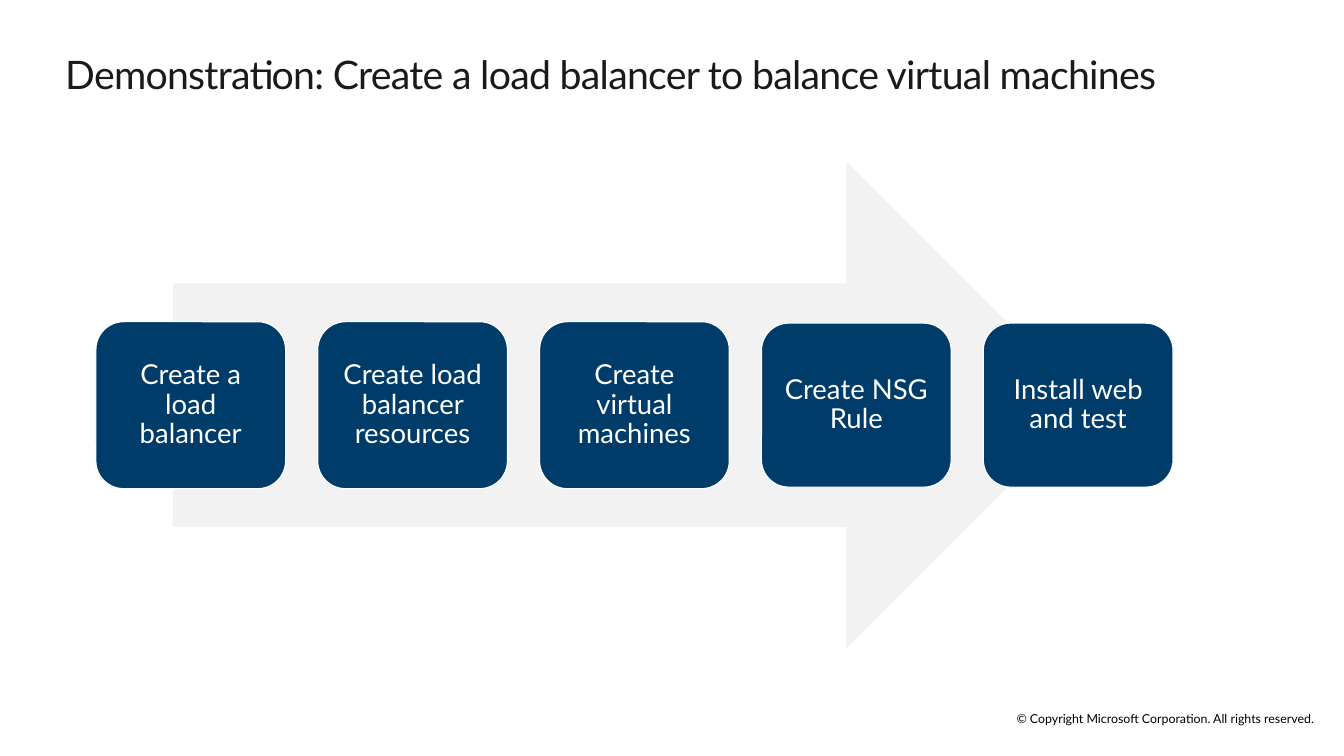
from dataclasses import dataclass

from pptx import Presentation
from pptx.dml.color import RGBColor
from pptx.enum.shapes import MSO_SHAPE
from pptx.enum.text import MSO_ANCHOR, PP_ALIGN
from pptx.shapes.autoshape import Shape
from pptx.slide import Slide
from pptx.util import Inches, Pt

FONT = "Lato"
COLORS = {
    "title": "1A1A1A",
    "arrow": "F2F2F2",
    "step": "003C6A",
    "white": "FFFFFF",
    "black": "000000",
}
LEFT, PITCH, WIDTH = 0.97, 2.245, 1.92
MIDDLE = 4.1


@dataclass
class Step:
    text: str
    height: float


@dataclass
class Label:
    text: str
    box: tuple[float, float, float, float]
    size: float
    color: str
    align: PP_ALIGN
    anchor: MSO_ANCHOR
    track: int = 0


STEPS = [
    Step("Create a load balancer", 1.69),
    Step("Create load balancer resources", 1.69),
    Step("Create virtual machines", 1.69),
    Step("Create NSG Rule", 1.66),
    Step("Install web and test", 1.66),
]
LABELS = [
    Label("© Copyright Microsoft Corporation. All rights reserved.",
          (9.98, 7.2, 3.62, 0.15), 9, "black", PP_ALIGN.CENTER, MSO_ANCHOR.MIDDLE),
    Label("Demonstration: Create a load balancer to balance virtual machines",
          (0.66, 0.51, 12.29, 0.48), 28.6, "title", PP_ALIGN.LEFT, MSO_ANCHOR.TOP, -50),
]


def color(name: str) -> RGBColor:
    return RGBColor.from_string(COLORS[name])


def write(shape: Shape, text: str, size: float, ink: str, align: PP_ALIGN,
          anchor: MSO_ANCHOR, inset: float = 0) -> None:
    frame = shape.text_frame
    frame.word_wrap = True
    frame.vertical_anchor = anchor
    frame.margin_left = frame.margin_right = Inches(inset)
    frame.margin_top = frame.margin_bottom = Inches(inset)
    para = frame.paragraphs[0]
    para.text = text
    para.alignment = align
    para.font.name = FONT
    para.font.size = Pt(size)
    para.font.color.rgb = color(ink)


def add_label(slide: Slide, label: Label) -> None:
    box = slide.shapes.add_textbox(*map(Inches, label.box))
    write(box, label.text, label.size, label.color, label.align, label.anchor)
    if label.track:
        run = box.text_frame.paragraphs[0].runs[0]
        run._r.get_or_add_rPr().set("spc", str(label.track))


def add_block(slide: Slide, kind: MSO_SHAPE, left: float, width: float,
              height: float, fill: str) -> Shape:
    """Add a filled shape centred on the middle line of the diagram."""
    block = slide.shapes.add_shape(
        kind, Inches(left), Inches(MIDDLE - height / 2), Inches(width), Inches(height))
    block.shadow.inherit = False
    block.fill.solid()
    block.fill.fore_color.rgb = color(fill)
    block.line.fill.background()
    return block


def add_step(slide: Slide, index: int, step: Step) -> None:
    block = add_block(slide, MSO_SHAPE.ROUNDED_RECTANGLE, LEFT + index * PITCH,
                      WIDTH, step.height, "step")
    block.line.color.rgb = color("white")
    block.line.width = Pt(0.85)
    write(block, step.text, 20, "white", PP_ALIGN.CENTER, MSO_ANCHOR.MIDDLE, 0.08)
    block.text_frame.paragraphs[0].line_spacing = 0.9


def main() -> None:
    deck = Presentation()
    deck.slide_width, deck.slide_height = Inches(13.6), Inches(7.65)
    slide = deck.slides.add_slide(deck.slide_layouts[6])
    for label in LABELS:
        add_label(slide, label)
    add_block(slide, MSO_SHAPE.RIGHT_ARROW, 1.75, 9.28, 4.93, "arrow")
    for index, step in enumerate(STEPS):
        add_step(slide, index, step)
    deck.save("out.pptx")


if __name__ == "__main__":
    main()
